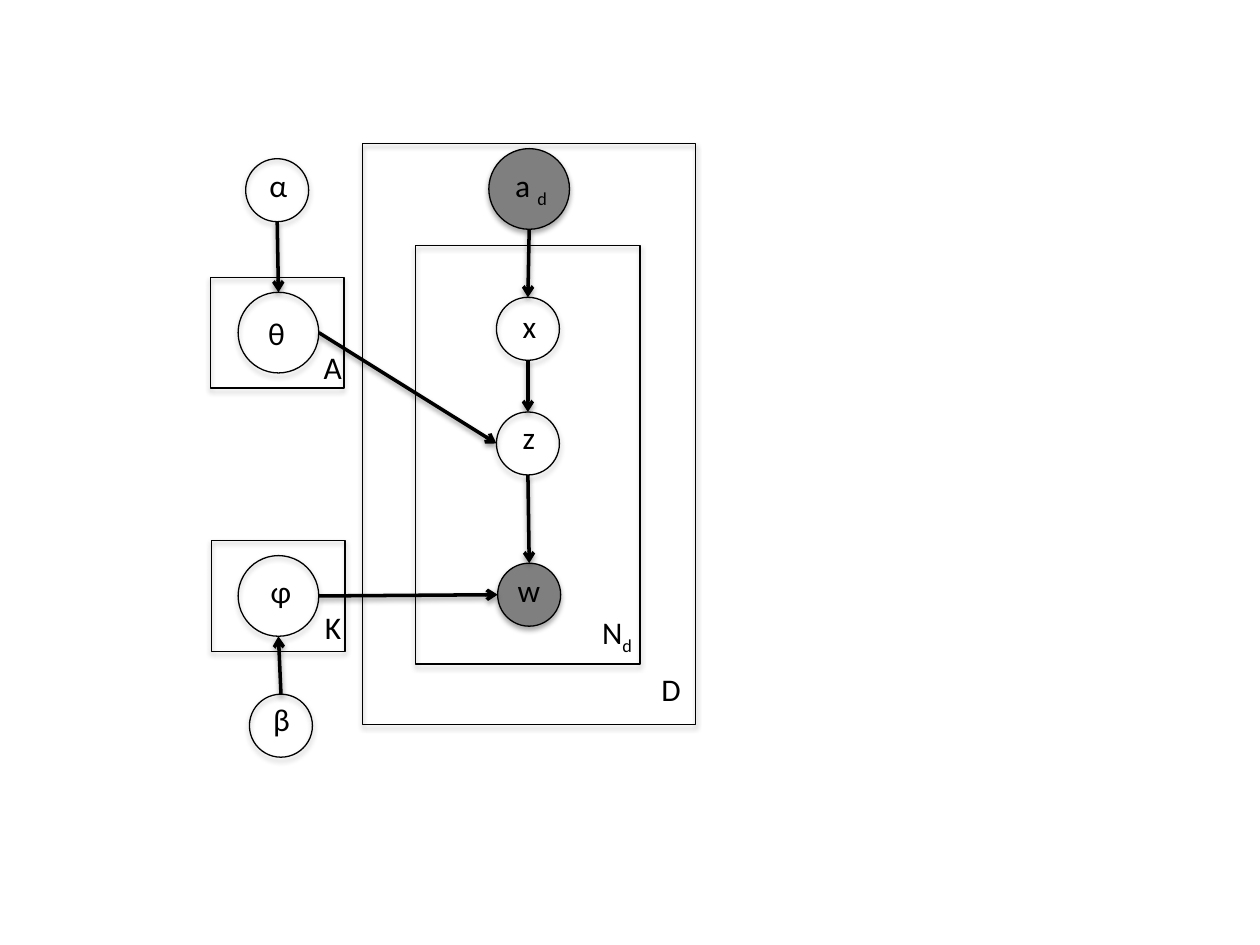
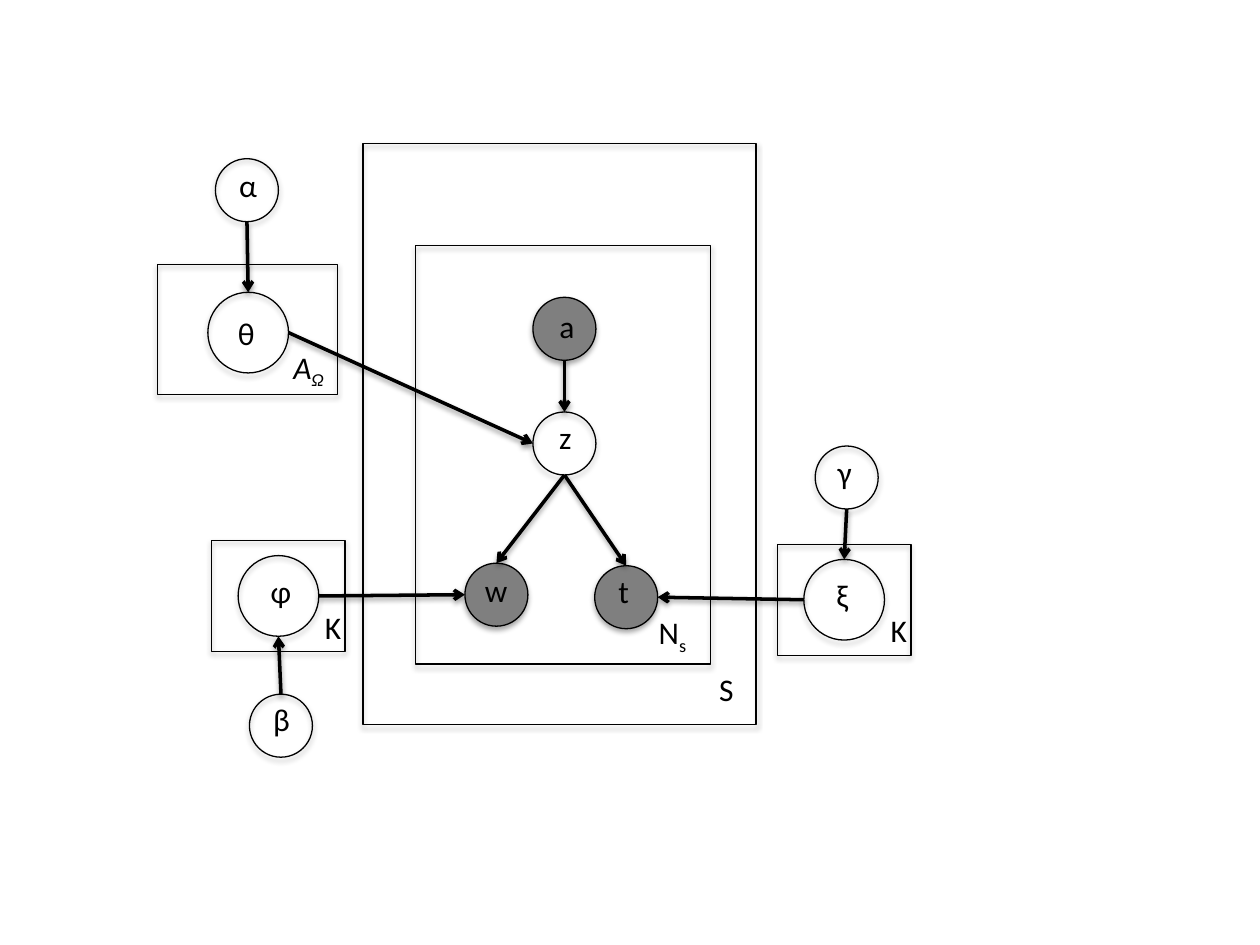
from lxml.etree import SubElement
from pptx import Presentation
from pptx.dml.color import RGBColor
from pptx.enum.shapes import MSO_CONNECTOR as Connector, MSO_SHAPE as Shape
from pptx.enum.text import MSO_AUTO_SIZE as AutoSize
from pptx.oxml.ns import qn
from pptx.util import Inches, Pt

BLACK = RGBColor(0x00, 0x00, 0x00)
OBSERVED = RGBColor(0x7F, 0x7F, 0x7F)
FONT = "Calibri"

SMALL, LARGE = 0.5, 0.64  # node diameters
LABEL_HEIGHT = 0.4

# Points on a shape's bounding box, as fractions of its width and height
TOP, BOTTOM, LEFT, RIGHT = (0.5, 0), (0.5, 1), (0, 0.5), (1, 0.5)

# Label box of each node symbol: left and top from the node centre, width
SYMBOL_BOXES = {
    "α": (-0.16, -0.24, 0.35),
    "β": (-0.16, -0.25, 0.34),
    "γ": (-0.17, -0.24, 0.31),
    "θ": (-0.18, -0.20, 0.34),
    "ξ": (-0.16, -0.24, 0.30),
    "φ": (-0.16, -0.24, 0.37),
    "a": (-0.14, -0.22, 0.32),
    "a ": (-0.21, -0.23, 0.45),
    "t": (-0.16, -0.25, 0.28),
    "w": (-0.19, -0.24, 0.38),
    "x": (-0.14, -0.22, 0.31),
    "z": (-0.14, -0.25, 0.30),
}


class PlateDiagram:
    """Draws a graphical model in plate notation on a new slide."""

    def __init__(self, presentation):
        self.slide = presentation.slides.add_slide(presentation.slide_layouts[6])

    def add_shadow(self, shape, opacity, distance):
        properties = shape._element.spPr
        effects = properties.find(qn("a:effectLst"))
        if effects is None:
            effects = SubElement(properties, qn("a:effectLst"))
        shadow = SubElement(effects, qn("a:outerShdw"), blurRad=str(Pt(3.1)),
                            dist=str(Pt(distance)), dir="5400000", rotWithShape="0")
        color = SubElement(shadow, qn("a:srgbClr"), val=str(BLACK))
        SubElement(color, qn("a:alpha"), val=str(opacity * 1000))

    def outline(self, kind, left, top, width, height, fill=None):
        shape = self.slide.shapes.add_shape(
            kind, Inches(left), Inches(top), Inches(width), Inches(height))
        if fill is None:
            shape.fill.background()
        else:
            shape.fill.solid()
            shape.fill.fore_color.rgb = fill
        shape.line.color.rgb = BLACK
        shape.line.width = Pt(0.75)
        shape.shadow.inherit = False
        self.add_shadow(shape, 35, 1.8)
        return shape

    def plate(self, left, top, width=1.06, height=0.88):
        return self.outline(Shape.RECTANGLE, left, top, width, height)

    def label(self, text, left, top, width, subscript="", italic=False):
        box = self.slide.shapes.add_textbox(
            Inches(left), Inches(top), Inches(width), Inches(LABEL_HEIGHT))
        frame = box.text_frame
        frame.word_wrap = False
        frame.auto_size = AutoSize.SHAPE_TO_FIT_TEXT
        paragraph = frame.paragraphs[0]
        paragraph.add_run().text = text
        if subscript:
            run = paragraph.add_run()
            run.text = subscript
            run._r.get_or_add_rPr().set("baseline", "-25000")
        font = paragraph.font
        font.name, font.size, font.italic = FONT, Pt(18), italic
        font.color.rgb = BLACK

    def node(self, symbol, left, top, size=SMALL, fill=None, subscript=""):
        circle = self.outline(Shape.OVAL, left, top, size, size, fill)
        label_left, label_top, width = SYMBOL_BOXES[symbol]
        center = size / 2
        self.label(symbol, left + center + label_left, top + center + label_top,
                   width, subscript)
        return circle

    def arrow(self, start, start_side, end, end_side):
        points = []
        for shape, (across, down) in ((start, start_side), (end, end_side)):
            points.append(shape.left + int(shape.width * across))
            points.append(shape.top + int(shape.height * down))
        line = self.slide.shapes.add_connector(Connector.STRAIGHT, *points)
        line.line.color.rgb = BLACK
        line.line.width = Pt(2)
        SubElement(line.line._get_or_add_ln(), qn("a:tailEnd"), type="arrow")
        self.add_shadow(line, 38, 1.6)

    def document_plates(self, inner_width, outer_width):
        self.plate(3.3, 1.95, inner_width, 3.32)
        self.plate(2.88, 1.14, outer_width, 4.61)

    def author_prior(self, left):
        """Draw α above θ, with θ's left edge given, and return θ."""
        theta = self.node("θ", left, 2.32, LARGE)
        alpha = self.node("α", left + 0.06, 1.26)
        self.arrow(alpha, BOTTOM, theta, TOP)
        return theta

    def word_prior(self):
        """Draw β below φ in its plate K and return φ."""
        self.plate(1.68, 4.29)
        phi = self.node("φ", 1.89, 4.41, LARGE)
        beta = self.node("β", 1.98, 5.51)
        self.label("K", 2.48, 4.78, 0.33)
        self.arrow(beta, TOP, phi, BOTTOM)
        return phi

    def tag_prior(self):
        """Draw γ above ξ in its plate K and return ξ."""
        self.plate(6.17, 4.32)
        xi = self.node("ξ", 6.38, 4.44, LARGE)
        gamma = self.node("γ", 6.47, 3.54)
        self.label("K", 6.97, 4.8, 0.33)
        self.arrow(gamma, BOTTOM, xi, TOP)
        return xi


def draw_author_topic_model(presentation):
    diagram = PlateDiagram(presentation)
    diagram.document_plates(1.78, 2.64)
    diagram.label("D", 5.15, 5.27, 0.36)
    diagram.label("N", 4.68, 4.82, 0.45, subscript="d")
    diagram.plate(1.67, 2.2)
    diagram.label("A", 2.47, 2.71, 0.35)

    theta = diagram.author_prior(1.89)
    phi = diagram.word_prior()
    authors = diagram.node("a ", 3.88, 1.18, LARGE, OBSERVED, subscript="d")
    author = diagram.node("x", 3.94, 2.36)
    topic = diagram.node("z", 3.94, 3.27)
    word = diagram.node("w", 3.95, 4.47, fill=OBSERVED)

    diagram.arrow(theta, RIGHT, topic, LEFT)
    diagram.arrow(phi, RIGHT, word, LEFT)
    for parent, child in ((authors, author), (author, topic), (topic, word)):
        diagram.arrow(parent, BOTTOM, child, TOP)


def draw_tagged_topic_model(presentation):
    diagram = PlateDiagram(presentation)
    diagram.document_plates(2.34, 3.12)
    diagram.label("S", 5.61, 5.27, 0.32)
    diagram.label("N", 5.13, 4.82, 0.44, subscript="s")
    diagram.plate(1.25, 2.1, 1.43, 1.03)
    diagram.label("Α", 2.23, 2.71, 0.48, subscript="Ω", italic=True)

    theta = diagram.author_prior(1.65)
    phi = diagram.word_prior()
    xi = diagram.tag_prior()
    author = diagram.node("a", 4.23, 2.36, fill=OBSERVED)
    topic = diagram.node("z", 4.23, 3.27)
    word = diagram.node("w", 3.69, 4.47, fill=OBSERVED)
    tag = diagram.node("t", 4.72, 4.49, fill=OBSERVED)

    diagram.arrow(theta, RIGHT, topic, LEFT)
    diagram.arrow(phi, RIGHT, word, LEFT)
    diagram.arrow(xi, LEFT, tag, RIGHT)
    for parent, child in ((author, topic), (topic, word), (topic, tag)):
        diagram.arrow(parent, BOTTOM, child, TOP)


def main():
    presentation = Presentation()
    presentation.slide_width = Inches(10)
    presentation.slide_height = Inches(7.5)
    draw_author_topic_model(presentation)
    draw_tagged_topic_model(presentation)
    presentation.save("out.pptx")


if __name__ == "__main__":
    main()
